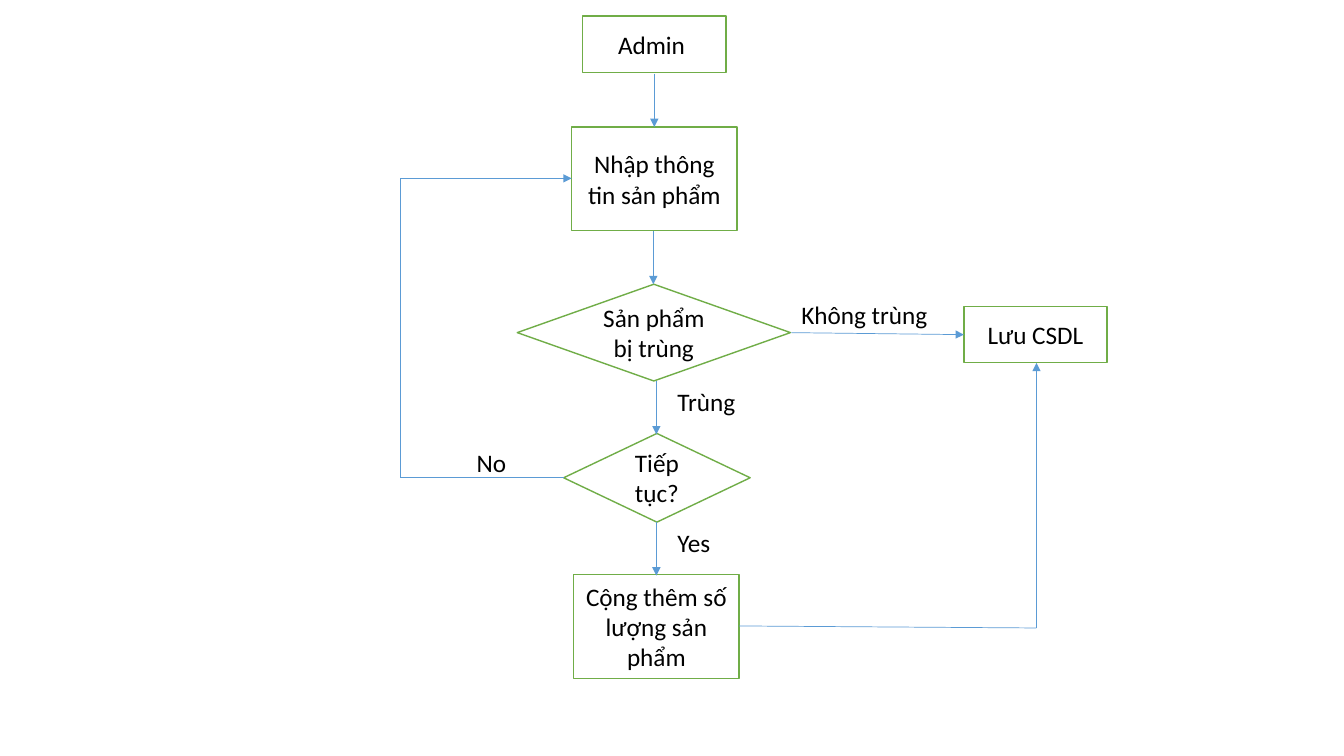
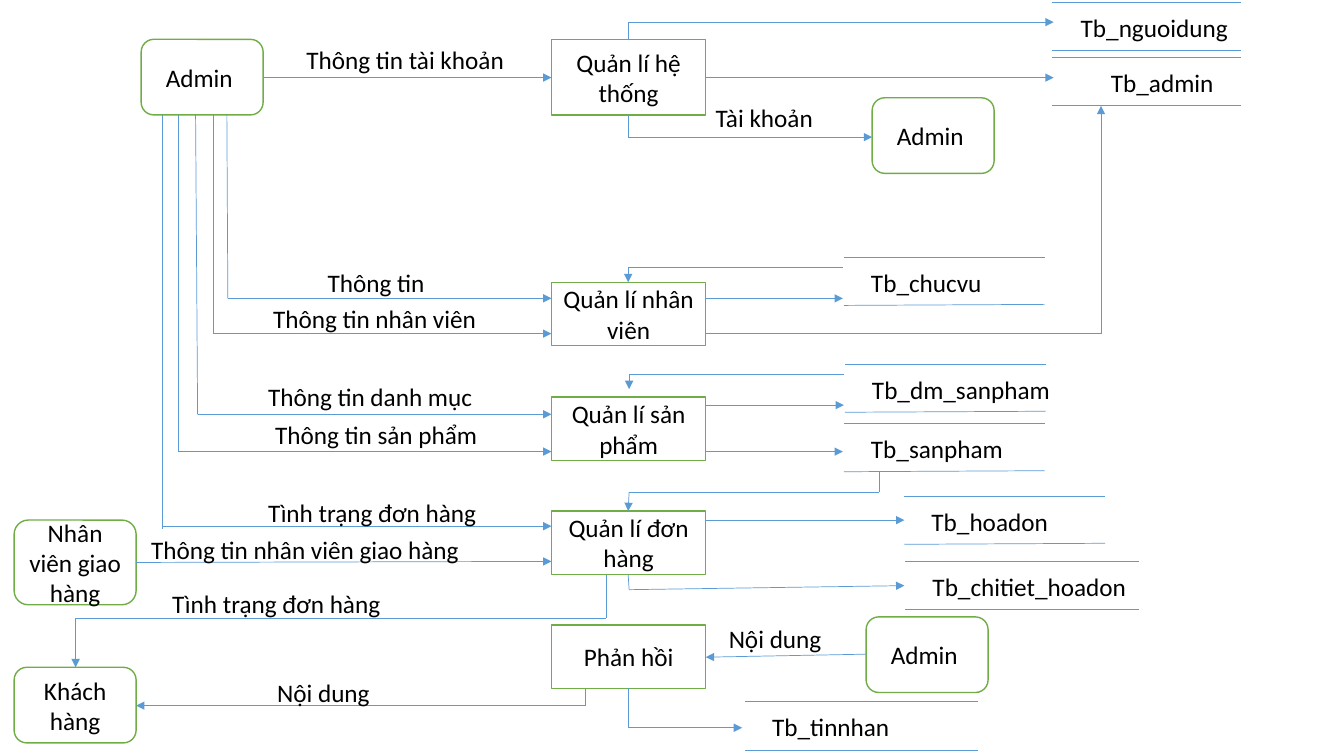
"""Build two flow diagrams: adding a product, and the data flow of the shop."""
from dataclasses import dataclass
from itertools import pairwise
from typing import Any

import pptx
import pptx.dml.color
import pptx.enum.shapes
import pptx.enum.text
import pptx.oxml.ns
import pptx.oxml.xmlchemy
import pptx.util

Inches = pptx.util.Inches
Preset = pptx.enum.shapes.MSO_SHAPE
Point = tuple[float, float]

WHITE, GREEN, BLUE, BLACK = "FFFFFF", "70AD47", "5B9BD5", "000000"
NODE_LINE = pptx.util.Pt(1)
FLOW_LINE = pptx.util.Pt(0.5)
FONT_FORMAT = {"name": "Calibri", "size": pptx.util.Pt(18)}
NODE_FORMAT = {
    "word_wrap": True,
    "vertical_anchor": pptx.enum.text.MSO_ANCHOR.MIDDLE,
}
LABEL_FORMAT = {
    "word_wrap": False,
    "auto_size": pptx.enum.text.MSO_AUTO_SIZE.SHAPE_TO_FIT_TEXT,
}
LABEL_HEIGHT = 0.4
STORE_HEIGHT = 0.48


@dataclass(frozen=True)
class Node:
    """An outlined shape with centred text."""
    text: str
    left: float
    top: float
    width: float
    height: float
    preset: Any = Preset.RECTANGLE


@dataclass(frozen=True)
class Label:
    """A one-line caption."""
    text: str
    left: float
    top: float
    width: float


@dataclass(frozen=True)
class Flow:
    """A run of straight segments, with an arrowhead at its end."""
    points: tuple[Point, ...]
    arrow: bool = True


@dataclass(frozen=True)
class Store:
    """A data store: a name between two rules."""
    text: str
    left: float
    top: float
    width: float
    text_width: float
    indent: float = 0.17
    rise: float = 0


@dataclass(frozen=True)
class Diagram:
    """Everything that one slide shows."""
    nodes: list[Node]
    flows: list[Flow]
    labels: list[Label]
    stores: list[Store]


def color(value: str) -> pptx.dml.color.RGBColor:
    """Turn a hex string into a colour."""
    return pptx.dml.color.RGBColor.from_string(value)


def apply_format(target: Any, values: dict[str, Any]) -> None:
    """Set each named attribute on the target."""
    for name, value in values.items():
        setattr(target, name, value)


def write_text(shape: Any, text: str, frame_format: dict[str, Any], alignment: Any) -> None:
    """Write one paragraph in the shared font."""
    apply_format(shape.text_frame, frame_format)
    paragraph = shape.text_frame.paragraphs[0]
    paragraph.alignment = alignment
    run = paragraph.add_run()
    run.text = text
    apply_format(run.font, FONT_FORMAT)
    run.font.color.rgb = color(BLACK)


def draw_node(slide: Any, node: Node) -> None:
    """Draw a white shape with a green outline."""
    box = map(Inches, (node.left, node.top, node.width, node.height))
    shape = slide.shapes.add_shape(node.preset, *box)
    shape.shadow.inherit = False
    shape.fill.solid()
    shape.fill.fore_color.rgb = color(WHITE)
    shape.line.color.rgb = color(GREEN)
    shape.line.width = NODE_LINE
    write_text(shape, node.text, NODE_FORMAT, pptx.enum.text.PP_ALIGN.CENTER)


def draw_label(slide: Any, label: Label) -> None:
    """Draw a caption that does not wrap."""
    box = map(Inches, (label.left, label.top, label.width, LABEL_HEIGHT))
    shape = slide.shapes.add_textbox(*box)
    write_text(shape, label.text, LABEL_FORMAT, pptx.enum.text.PP_ALIGN.LEFT)


def draw_line(slide: Any, start: Point, end: Point, arrow: bool = False) -> None:
    """Draw a thin blue segment, with an arrowhead if asked."""
    connector = slide.shapes.add_connector(
        pptx.enum.shapes.MSO_CONNECTOR.STRAIGHT, *map(Inches, (*start, *end)))
    connector.line.color.rgb = color(BLUE)
    connector.line.width = FLOW_LINE
    properties = connector.element.find(pptx.oxml.ns.qn("p:spPr"))
    if arrow:
        tail = pptx.oxml.xmlchemy.OxmlElement("a:tailEnd")
        tail.set("type", "triangle")
        properties.find(pptx.oxml.ns.qn("a:ln")).append(tail)
    properties.append(pptx.oxml.xmlchemy.OxmlElement("a:effectLst"))


def draw_flow(slide: Any, flow: Flow) -> None:
    """Draw the segments of a flow from start to end."""
    segments = list(pairwise(flow.points))
    for number, (start, end) in enumerate(segments, 1):
        draw_line(slide, start, end, flow.arrow and number == len(segments))


def draw_store(slide: Any, store: Store) -> None:
    """Draw the two rules of a store and its name."""
    right, bottom = store.left + store.width, store.top + STORE_HEIGHT
    draw_line(slide, (store.left, store.top), (right, store.top))
    draw_line(slide, (store.left, bottom), (right, bottom - store.rise))
    draw_label(slide, Label(store.text, store.left + store.indent,
                            store.top + 0.05, store.text_width))


def draw_diagram(presentation: Any, diagram: Diagram) -> None:
    """Add a blank slide and draw the diagram on it."""
    slide = presentation.slides.add_slide(presentation.slide_layouts[6])
    for items, draw in (
        (diagram.nodes, draw_node),
        (diagram.flows, draw_flow),
        (diagram.stores, draw_store),
        (diagram.labels, draw_label),
    ):
        for item in items:
            draw(slide, item)


def product_diagram() -> Diagram:
    """Describe how the admin adds a product."""
    small, large = (1.42, 0.56), (1.64, 1.03)
    return Diagram(
        nodes=[
            Node("Admin ", 5.78, 0.16, *small),
            Node("Nhập thông tin sản phẩm", 5.67, 1.26, *large),
            Node("Sản phẩm bị trùng", 5.13, 2.82, 2.71, 0.96, Preset.FLOWCHART_DECISION),
            Node("Lưu CSDL", 9.56, 3.04, *small),
            Node("Tiếp tục?", 5.59, 4.3, 1.85, 0.88, Preset.FLOWCHART_DECISION),
            Node("Cộng thêm số lượng sản phẩm", 5.69, 5.7, *large),
        ],
        flows=[
            *(Flow(((x, top), (x, top + 0.53))) for x, top in
              ((6.49, 0.73), (6.48, 2.29), (6.51, 3.78), (6.51, 5.18))),
            Flow(((7.85, 3.3), (9.56, 3.32))),
            Flow(((5.59, 4.74), (3.97, 4.74), (3.97, 1.77), (5.67, 1.77))),
            Flow(((7.33, 6.21), (10.28, 6.23), (10.28, 3.6))),
        ],
        labels=[
            Label("Không trùng", 7.85, 2.92, 1.47),
            Label("Trùng ", 6.62, 3.78, 0.84),
            Label("No ", 4.63, 4.39, 0.56),
            Label("Yes ", 6.62, 5.18, 0.6),
        ],
        stores=[],
    )


def shop_diagram() -> Diagram:
    """Describe the data flow between people, processes and stores."""
    left, right, middle = 5.47, 7.0, 6.23
    admin_bottom = 1.14
    processes = (
        ("Quản lí hệ thống", 0.39, 0.75), ("Quản lí nhân viên", 2.8, 0.63),
        ("Quản lí sản phẩm", 3.94, 0.63), ("Quản lí đơn hàng", 5.07, 0.63),
        ("Phản hồi", 6.2, 0.63),
    )
    people = (
        ("Admin ", 1.4, 0.39, 0.75), ("Admin ", 8.65, 0.97, 0.75),
        ("Nhân viên giao hàng", 0.14, 5.16, 0.84),
        ("Khách hàng", 0.14, 6.62, 0.75), ("Admin ", 8.59, 6.12, 0.75),
    )
    admin_inputs = (
        (2.25, 2.26, 2.96), (2.12, 2.12, 3.31), (1.94, 1.96, 4.11),
        (1.77, 1.77, 4.48), (1.61, 1.61, 5.22),
    )
    store_outputs = ((0.77, 10.45), (2.96, 8.36), (4.02, 8.37), (4.48, 8.36), (5.16, 8.97))
    return Diagram(
        nodes=[
            *(Node(text, left, top, right - left, height) for text, top, height in processes),
            *(Node(text, x, top, 1.21, height, Preset.ROUNDED_RECTANGLE)
              for text, x, top, height in people),
        ],
        flows=[
            *(Flow(((start, admin_bottom), (turn, y), (left, y)))
              for start, turn, y in admin_inputs),
            *(Flow(((right, y), (end, y))) for y, end in store_outputs),
            Flow(((2.61, 0.77), (left, 0.77))),
            Flow(((middle, 0.39), (middle, 0.22), (10.45, 0.22))),
            Flow(((middle, 1.14), (middle, 1.36), (8.65, 1.36))),
            Flow(((right, 3.31), (10.92, 3.31), (10.92, 1.05))),
            Flow(((8.36, 2.65), (middle, 2.65), (middle, 2.8))),
            Flow(((8.37, 3.71), (6.24, 3.71), (6.24, 3.86))),
            Flow(((8.72, 4.68), (8.72, 4.88), (6.24, 4.88), (middle, 5.07))),
            Flow(((1.61, 5.22), (1.61, 5.25)), arrow=False),
            Flow(((1.35, 5.58), (left, 5.57))),
            Flow(((middle, 5.7), (6.24, 5.85), (8.97, 5.81))),
            Flow(((6.01, 5.7), (6.01, 6.13), (0.75, 6.13), (0.75, 6.62))),
            Flow(((8.59, 6.49), (right, 6.52))),
            Flow(((5.81, 6.83), (5.81, 7.0), (1.35, 7.0))),
            Flow(((middle, 6.83), (middle, 7.22), (7.36, 7.22))),
        ],
        labels=[
            Label("Thông tin tài khoản", 2.94, 0.39, 2.19),
            Label("Tài khoản", 7.0, 0.97, 1.18),
            Label("Thông tin", 3.15, 2.6, 1.18),
            Label("Thông tin nhân viên", 2.61, 2.96, 2.24),
            Label("Thông tin danh mục", 2.56, 3.73, 2.25),
            Label("Thông tin sản phẩm", 2.63, 4.11, 2.23),
            Label("Tình trạng đơn hàng", 2.56, 4.88, 2.29),
            Label("Thông tin nhân viên giao hàng", 1.4, 5.25, 3.3),
            Label("Tình trạng đơn hàng", 1.61, 5.79, 2.29),
            Label("Nội dung", 7.13, 6.13, 1.13),
            Label("Nội dung", 2.65, 6.67, 1.13),
        ],
        stores=[
            Store("Tb_nguoidung", 10.43, 0.02, 1.88, 1.68, indent=0.19),
            Store("Tb_admin", 10.43, 0.57, 1.88, 1.23, indent=0.49),
            Store("Tb_chucvu", 8.37, 2.55, 1.99, 1.31, rise=0.01),
            Store("Tb_dm_sanpham", 8.38, 3.61, 1.99, 1.99, rise=0.01),
            Store("Tb_sanpham", 8.37, 4.2, 1.99, 1.53, rise=0.01),
            Store("Tb_hoadon", 8.97, 4.92, 1.99, 1.37, rise=0.01),
            Store("Tb_chitiet_hoadon", 8.98, 5.57, 2.32, 2.15),
            Store("Tb_tinnhan", 7.39, 6.96, 2.31, 1.38),
        ],
    )


def main() -> None:
    """Build and save the presentation."""
    presentation = pptx.Presentation()
    apply_format(presentation, {"slide_width": Inches(13.33), "slide_height": Inches(7.5)})
    for diagram in (product_diagram(), shop_diagram()):
        draw_diagram(presentation, diagram)
    presentation.save("out.pptx")


main()
